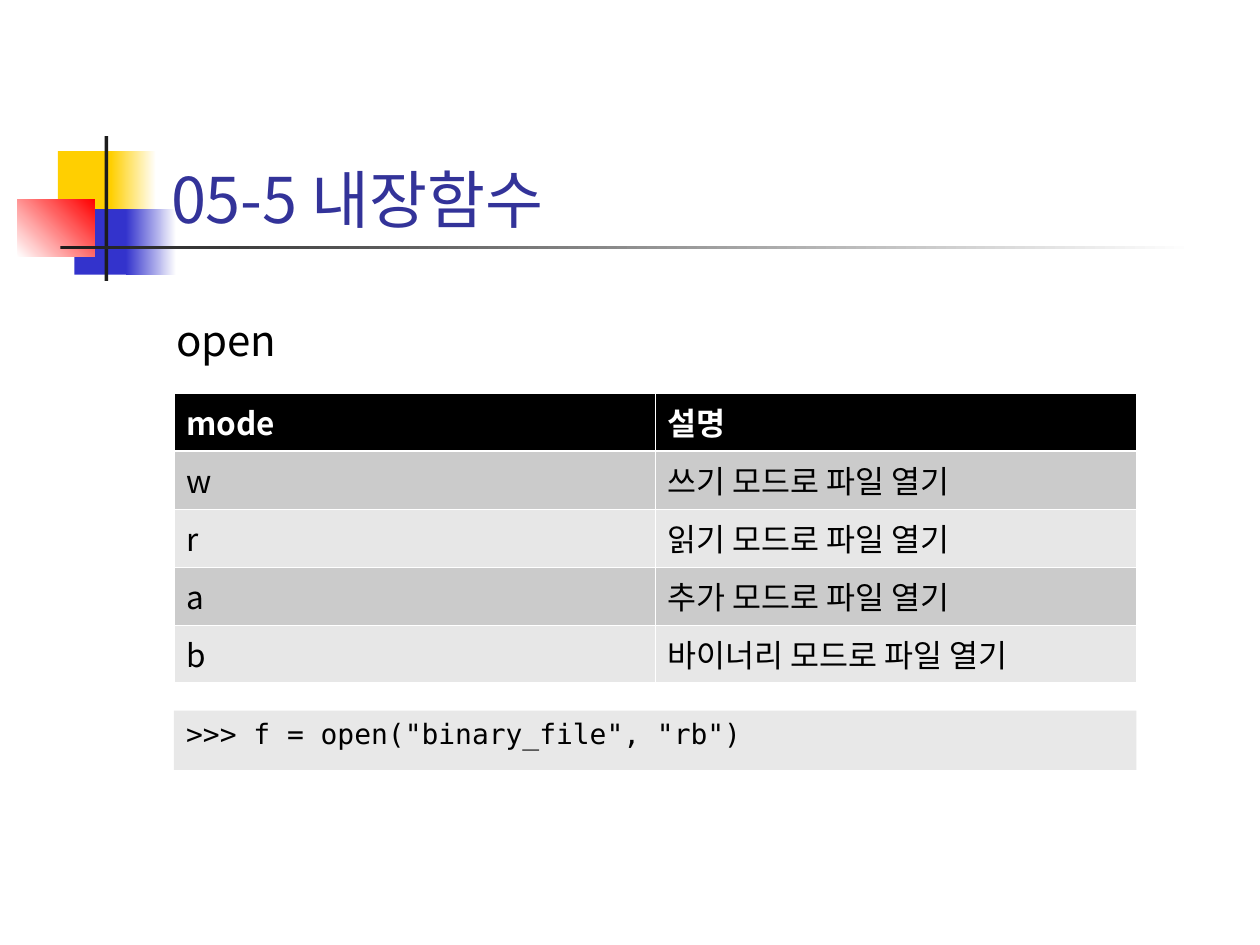
from dataclasses import dataclass
from typing import NamedTuple, Optional

from lxml import etree
from pptx import Presentation
from pptx.dml.color import RGBColor as Rgb
from pptx.enum import shapes, text
from pptx.oxml.ns import qn
from pptx.util import Inches, Pt


@dataclass(frozen=True)
class Theme:
    sans: str = "Noto Sans CJK KR"
    mono: str = "DejaVu Sans Mono"
    white: str = "FFFFFF"
    black: str = "000000"
    ink: str = "1C1C1C"
    gold: str = "FFCF01"
    blue: str = "3333CC"
    red: str = "FF0000"
    navy: str = "333399"
    code: str = "E8E8E8"
    bands: tuple = ("CBCBCB", "E7E7E7")
    title: int = 36
    head: int = 24
    cell: int = 18
    small: int = 16
    thin: float = 0.45
    thick: float = 1.47


class Box(NamedTuple):
    x: float
    y: float
    w: float
    h: float


class Block(NamedTuple):
    box: Box
    fill: str
    fade: Optional[str] = None
    angle: int = 0


class Style(NamedTuple):
    size: int
    color: str
    font: str
    bold: bool = False


T = Theme()

# Corner ornament, back to front
BLOCKS = [
    Block(Box(0.46, 1.2, 0.48, 0.52), T.gold),
    Block(Box(0.88, 1.2, 0.36, 0.52), T.gold, T.white),
    Block(Box(0.59, 1.66, 0.46, 0.52), T.blue),
    Block(Box(1, 1.66, 0.4, 0.52), T.blue, T.white),
    Block(Box(0.14, 1.58, 0.61, 0.46), T.white, T.red, 45),
    Block(Box(0.83, 1.08, 0.03, 1.15), T.ink),
    Block(Box(0.48, 1.95, 9, 0.03), T.ink, T.white),
]

ROWS = [
    ("mode", "설명"),
    ("w", "쓰기 모드로 파일 열기"),
    ("r", "읽기 모드로 파일 열기"),
    ("a", "추가 모드로 파일 열기"),
    ("b", "바이너리 모드로 파일 열기"),
]


def place(box: Box) -> list:
    return [Inches(v) for v in box]


def write(frame, words: str, style: Style, before: float = 0) -> None:
    para = frame.paragraphs[0]
    para.alignment = text.PP_ALIGN.LEFT
    para.space_before = Pt(before)
    run = para.add_run()
    run.text = words
    font = run.font
    font.size, font.bold, font.name = Pt(style.size), style.bold, style.font
    font.color.rgb = Rgb.from_string(style.color)
    # East Asian letters take their own typeface entry
    etree.SubElement(run._r.rPr, qn("a:ea")).set("typeface", style.font)


def block(slide, item: Block):
    rect = slide.shapes.add_shape(shapes.MSO_SHAPE.RECTANGLE, *place(item.box))
    rect.shadow.inherit = False
    rect.line.fill.background()
    if item.fade:
        rect.fill.gradient()
        rect.fill.gradient_angle = item.angle
        for stop, color in zip(rect.fill.gradient_stops, (item.fill, item.fade)):
            stop.color.rgb = Rgb.from_string(color)
    else:
        rect.fill.solid()
        rect.fill.fore_color.rgb = Rgb.from_string(item.fill)
    return rect


def label(slide, box: Box, words: str, style: Style, anchor, before: float = 0) -> None:
    frame = slide.shapes.add_textbox(*place(box)).text_frame
    frame.word_wrap = True
    frame.vertical_anchor = anchor
    write(frame, words, style, before)


def edge(cell, side: str, width: float) -> None:
    line = etree.Element(qn(f"a:ln{side}"), w=str(Pt(width)))
    fill = etree.SubElement(line, qn("a:solidFill"))
    etree.SubElement(fill, qn("a:srgbClr")).set("val", T.white)
    props = cell._tc.get_or_add_tcPr()
    # Borders come before the fill, in left, right, top, bottom order
    props.insert("LRTB".index(side), line)


def grid(slide, box: Box, rows: list) -> None:
    table = slide.shapes.add_table(len(rows), len(rows[0]), *place(box)).table
    for r, row in enumerate(rows):
        table.rows[r].height = Inches(box.h / len(rows))
        color = T.black if r == 0 else T.bands[(r - 1) % 2]
        style = Style(T.cell, T.white if r == 0 else T.black, T.sans, r == 0)
        for c, words in enumerate(row):
            cell = table.cell(r, c)
            cell.fill.solid()
            cell.fill.fore_color.rgb = Rgb.from_string(color)
            for side in "LRTB":
                heavy = (r, side) in ((0, "B"), (1, "T"))
                edge(cell, side, T.thick if heavy else T.thin)
            write(cell.text_frame, words, style)


def main() -> None:
    deck = Presentation()
    deck.slide_width, deck.slide_height = Inches(10), Inches(7.5)
    slide = deck.slides.add_slide(deck.slide_layouts[6])
    top, low = text.MSO_ANCHOR.TOP, text.MSO_ANCHOR.BOTTOM

    # Ornament and title
    for item in BLOCKS:
        block(slide, item)
    label(slide, Box(1.26, 0.67, 7.76, 1.25), "05-5 내장함수",
          Style(T.title, T.navy, T.sans), low)

    # Code line
    code = block(slide, Block(Box(1.38, 5.64, 7.64, 0.47), T.code)).text_frame
    code.word_wrap = True
    code.vertical_anchor = top
    write(code, '>>> f = open("binary_file", "rb")',
          Style(T.small, T.black, T.mono), 4)

    # Heading and mode table
    label(slide, Box(1.3, 2.45, 7.72, 0.51), "open",
          Style(T.head, T.black, T.sans), top, 6)
    grid(slide, Box(1.38, 3.12, 7.64, 2.3), ROWS)

    deck.save("out.pptx")


if __name__ == "__main__":
    main()
